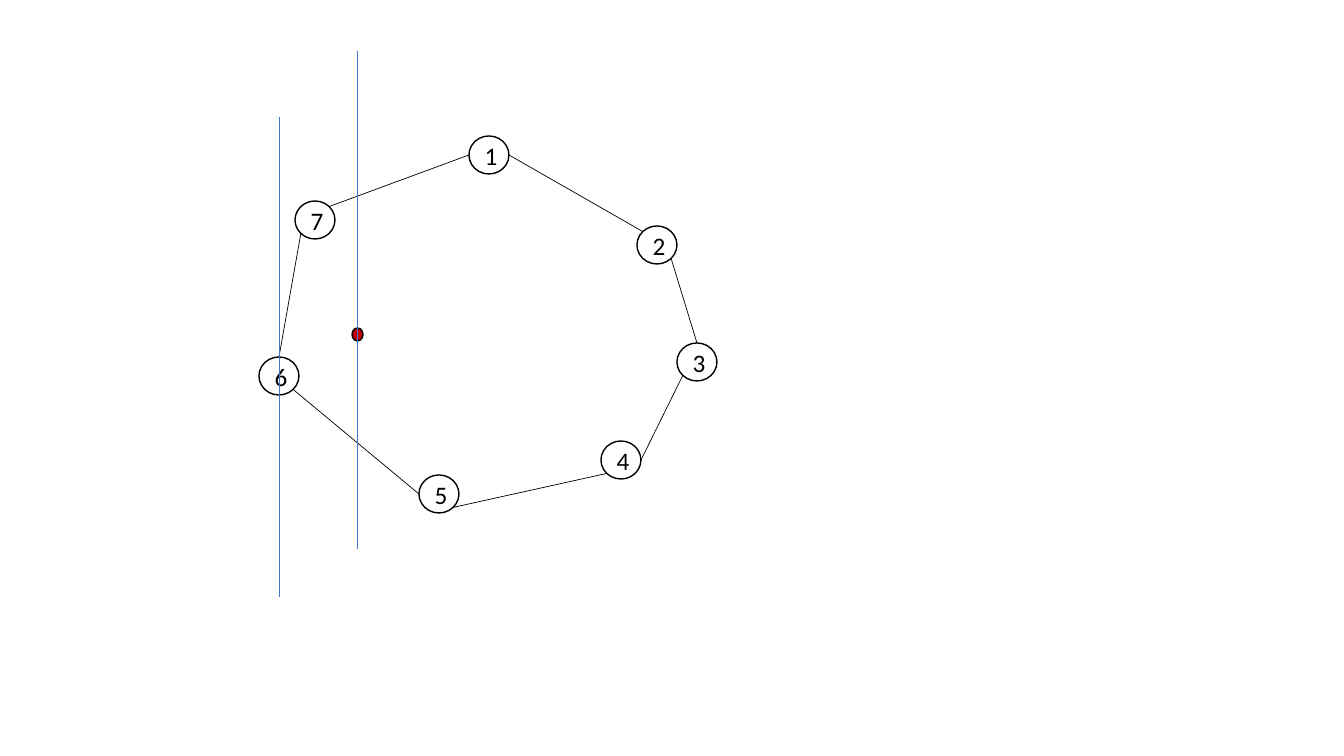
"""Draw a ring of numbered nodes crossed by two vertical sweep lines."""
from dataclasses import dataclass
from math import cos, radians, sin

from lxml import etree
from pptx import Presentation
from pptx.dml.color import RGBColor
from pptx.enum.shapes import MSO_CONNECTOR, MSO_SHAPE
from pptx.enum.text import MSO_ANCHOR, PP_ALIGN
from pptx.oxml.ns import qn
from pptx.util import Emu, Pt

PX_PER_INCH = 100.8


@dataclass(frozen=True)
class Theme:
    """Colours, font and sizes of the slide."""
    ink: RGBColor = RGBColor(0, 0, 0)
    paper: RGBColor = RGBColor(255, 255, 255)
    point: RGBColor = RGBColor(0xC0, 0, 0)
    sweep: RGBColor = RGBColor(0x44, 0x72, 0xC4)
    font: str = "Calibri"
    label_size: Pt = Pt(18)
    outline: Pt = Pt(1)
    thin: Pt = Pt(0.5)


THEME = Theme()
NODE_WIDTH, NODE_HEIGHT = 40, 38
NODES = {
    7: (36, 150), 1: (210, 85), 3: (418, 292), 6: (0, 306),
    2: (378, 175), 5: (160, 424), 4: (342, 390),
}
RIGHT, LOWER_RIGHT, LOWER_LEFT, LEFT, UPPER_LEFT, TOP, UPPER_RIGHT = (
    0, 45, 135, 180, 225, 270, 315)
EDGES = [
    (1, RIGHT, 2, UPPER_LEFT),
    (2, LOWER_RIGHT, 3, TOP),
    (3, LOWER_LEFT, 4, RIGHT),
    (4, LOWER_LEFT, 5, LOWER_RIGHT),
    (5, LEFT, 6, LOWER_RIGHT),
    (6, TOP, 7, LOWER_LEFT),
    (7, UPPER_RIGHT, 1, LEFT),
]
POINT = (93, 277, 11, 13)
SWEEPS = [(98, 0, 498), (20, 66, 546)]


def px(value):
    """Turn pixels into EMU."""
    return Emu(round(value * 914400 / PX_PER_INCH))


def add_oval(slide, left, top, width, height, fill):
    """Add an outlined oval."""
    oval = slide.shapes.add_shape(
        MSO_SHAPE.OVAL, px(left), px(top), px(width), px(height))
    oval.shadow.inherit = False
    oval.fill.solid()
    oval.fill.fore_color.rgb = fill
    oval.line.color.rgb = THEME.ink
    oval.line.width = THEME.outline
    return oval


def add_line(slide, start, end, color):
    """Add a thin straight line between two points."""
    line = slide.shapes.add_connector(
        MSO_CONNECTOR.STRAIGHT, *map(px, (*start, *end)))
    line.line.color.rgb = color
    line.line.width = THEME.thin
    etree.SubElement(line._element.spPr, qn("a:effectLst"))


def add_node(slide, left, top, number):
    """Add a numbered node."""
    node = add_oval(slide, left, top, NODE_WIDTH, NODE_HEIGHT, THEME.paper)
    frame = node.text_frame
    frame.vertical_anchor = MSO_ANCHOR.MIDDLE
    paragraph = frame.paragraphs[0]
    paragraph.alignment = PP_ALIGN.CENTER
    run = paragraph.add_run()
    run.text = str(number)
    run.font.name = THEME.font
    run.font.size = THEME.label_size
    run.font.color.rgb = THEME.ink


def rim_point(left, top, number, angle):
    """Find the point on a node's rim at a clockwise angle from the right."""
    x, y = NODES[number]
    return (left + x + NODE_WIDTH / 2 * (1 + cos(radians(angle))),
            top + y + NODE_HEIGHT / 2 * (1 + sin(radians(angle))))


def add_ring(slide, left, top):
    """Add the nodes and the edges that join them."""
    for number, (x, y) in NODES.items():
        add_node(slide, left + x, top + y, number)
    for source, leaving, target, arriving in EDGES:
        add_line(slide, rim_point(left, top, source, leaving),
                 rim_point(left, top, target, arriving), THEME.ink)


def add_sweeps(slide, left, top):
    """Add the inner point and the vertical sweep lines."""
    x, y, width, height = POINT
    add_oval(slide, left + x, top + y, width, height, THEME.point)
    for x, start, end in SWEEPS:
        add_line(slide, (left + x, top + start), (left + x, top + end),
                 THEME.sweep)


def main():
    """Build and save the slide."""
    deck = Presentation()
    deck.slide_width, deck.slide_height = px(1344), px(756)
    slide = deck.slides.add_slide(deck.slide_layouts[6])
    origin = (259, 51)
    add_ring(slide, *origin)
    add_sweeps(slide, *origin)
    deck.save("out.pptx")


main()
